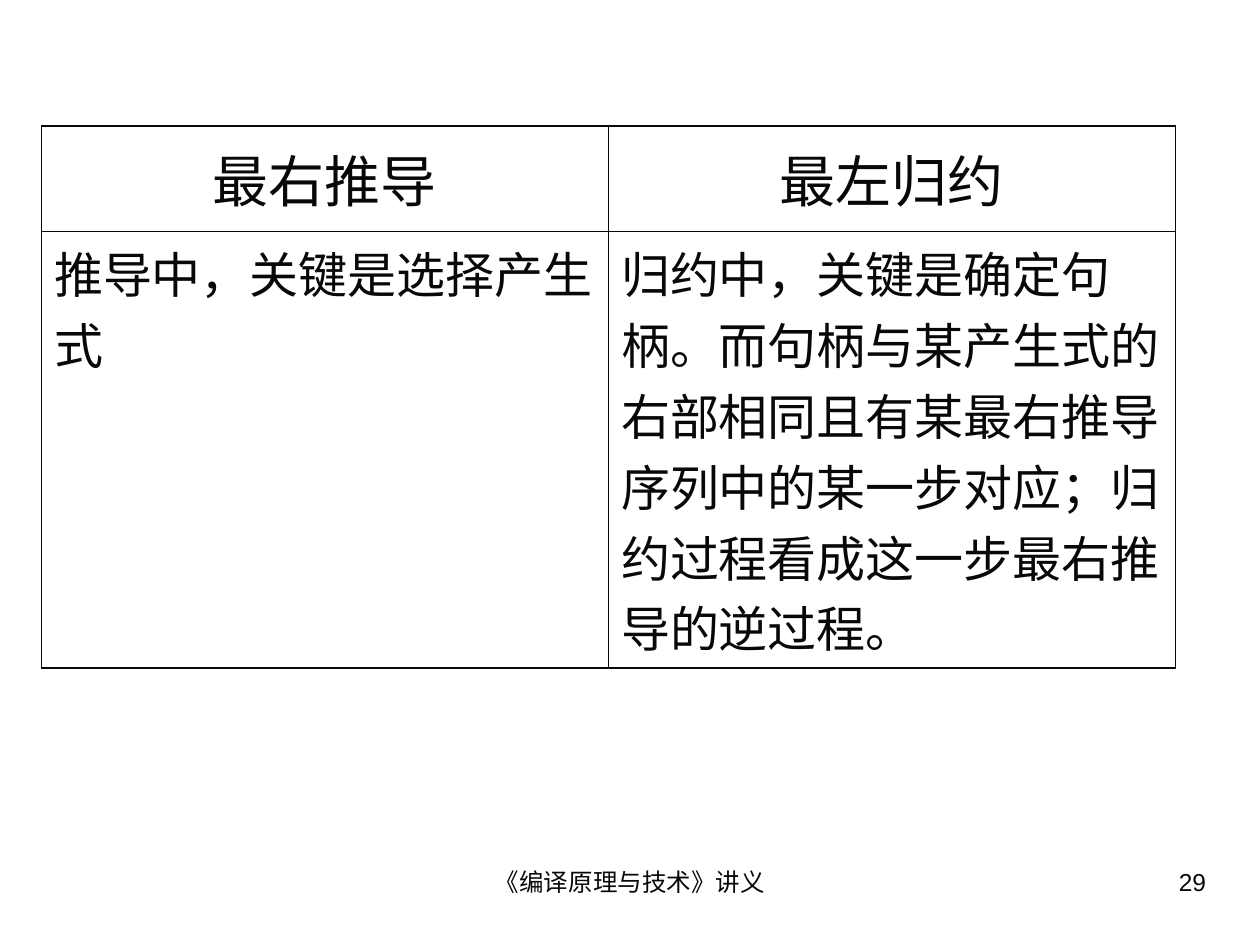
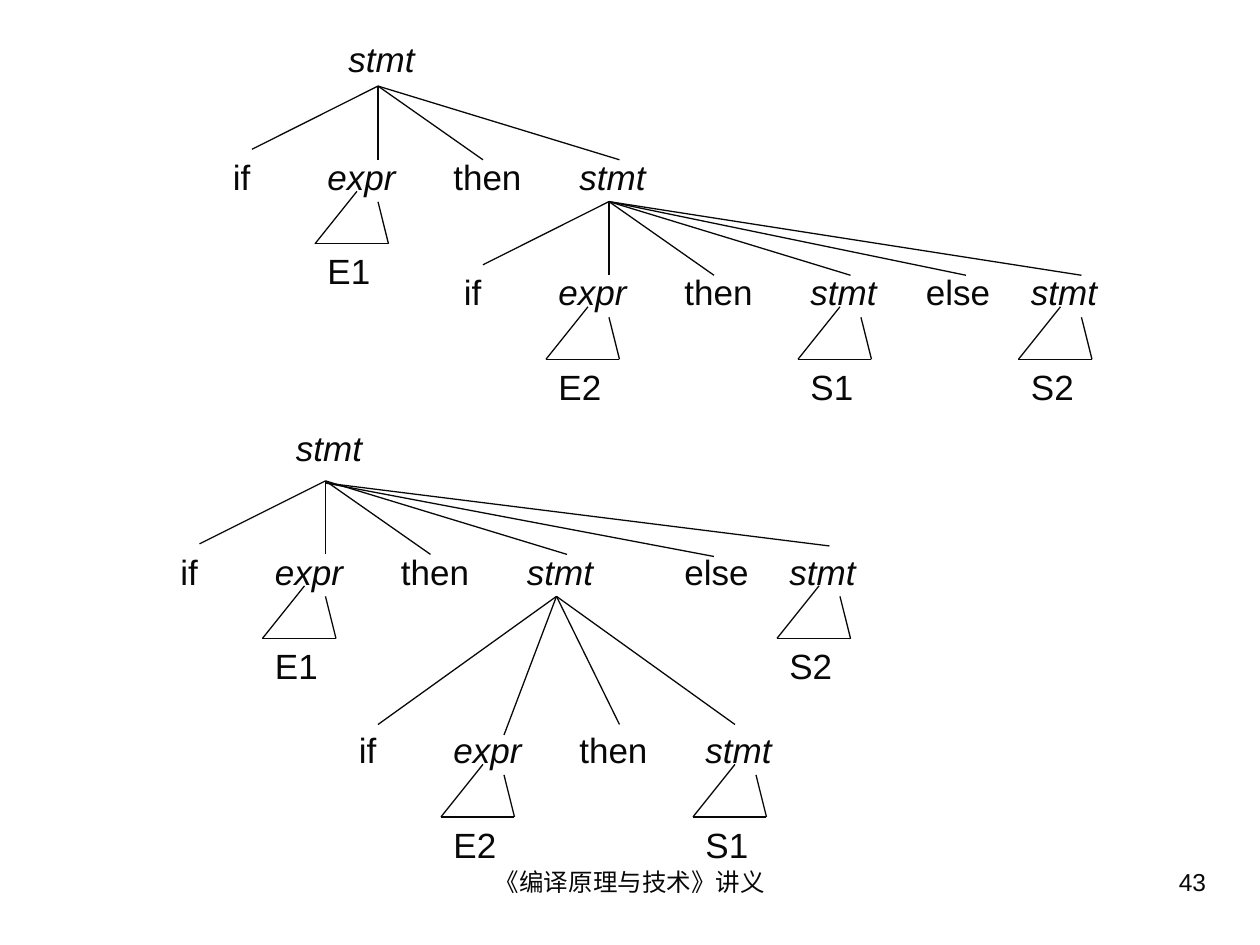
from dataclasses import dataclass

from lxml.etree import SubElement
from pptx import Presentation
from pptx.dml.color import RGBColor
from pptx.enum.shapes import MSO_CONNECTOR
from pptx.enum.text import MSO_ANCHOR, MSO_AUTO_SIZE, PP_ALIGN
from pptx.oxml.ns import qn
from pptx.util import Emu, Inches, Pt


@dataclass(frozen=True)
class Theme:
    ink: str = "080808"
    font: str = "Arial"
    footer_size: float = 14
    head_size: float = 32
    body_size: float = 28
    tree_size: float = 20
    branch: float = 0.74
    outer_border: float = 1.08
    inner_border: float = 0.45


theme = Theme()
ink = RGBColor.from_string(theme.ink)

deck = Presentation()
deck.slide_width, deck.slide_height = Inches(10), Inches(7.5)
blank = deck.slide_layouts[6]

# The grid has 120 columns and 90 rows of equal size
COLUMNS = 120
UNIT = deck.slide_width // COLUMNS


def grid(*places):
    return [Emu(round(place * UNIT)) for place in places]


def write(frame, text, size, align=PP_ALIGN.LEFT, before=0, italic=False):
    frame.word_wrap = True
    para = frame.paragraphs[0]
    para.text = text
    para.alignment = align
    para.space_before = Pt(before)
    para.font.name = theme.font
    para.font.size = Pt(size)
    para.font.italic = italic
    para.font.color.rgb = ink
    # Punctuation stays inside the margin
    para._p.get_or_add_pPr().set("hangingPunct", "0")


# Both pages carry the same footer and their own number
pages = []
for number in ("29", "43"):
    page = deck.slides.add_slide(blank)
    pages.append(page)
    footer = page.shapes.add_textbox(*grid(41, 82, 38, 6.2))
    write(footer.text_frame, "《编译原理与技术》讲义", theme.footer_size, PP_ALIGN.CENTER)
    counter = page.shapes.add_textbox(*grid(86, 82, 30.05, 6.2))
    write(counter.text_frame, number, theme.footer_size, PP_ALIGN.RIGHT)
comparison_page, tree_page = pages

# Slide 1: derivation compared with reduction
comparison = [
    ["最右推导", "最左归约"],
    ["推导中，关键是选择产生式",
     "归约中，关键是确定句柄。而句柄与某产生式的右部相同且有某最右推导"
     "序列中的某一步对应；归约过程看成这一步最右推导的逆过程。"],
]
table = comparison_page.shapes.add_table(2, 2, *grid(3.96, 12, 108, 51.6)).table
table.first_row = table.horz_banding = False
table.rows[0].height, table.rows[1].height = grid(10, 41.6)

for row, texts in enumerate(comparison):
    for column, text in enumerate(texts):
        cell = table.cell(row, column)
        cell.fill.background()
        if row == 0:
            cell.vertical_anchor = MSO_ANCHOR.MIDDLE
            write(cell.text_frame, text, theme.head_size, PP_ALIGN.CENTER, before=8)
        else:
            write(cell.text_frame, text, theme.body_size, before=7)
        # Borders come before the fill in the cell properties
        properties = cell._tc.get_or_add_tcPr()
        outer_sides = ("lnL" if column == 0 else "lnR", "lnT" if row == 0 else "lnB")
        for order, side in enumerate(("lnL", "lnR", "lnT", "lnB")):
            width = theme.outer_border if side in outer_sides else theme.inner_border
            border = SubElement(properties, qn(f"a:{side}"), w=str(Pt(width)))
            paint = SubElement(border, qn("a:solidFill"))
            SubElement(paint, qn("a:srgbClr"), val=theme.ink)
            properties.insert(order, border)

# Slide 2: two parse trees of the dangling else
# Each family: apex column and row, row of the children, then for each child
# its word, column, branch end (column, drop below the row) and subtree label
families = [
    (36, 8.2, 14.22, [
        ("if", 21, 24, 0, ""), ("expr", 30, 36, 1, "E1"),
        ("then", 42, 46, 1, ""), ("stmt", 54, 59, 1, "")]),
    (58, 19.2, 25.22, [
        ("if", 43, 46, 0, ""), ("expr", 52, 58, 1, "E2"),
        ("then", 64, 68, 1, ""), ("stmt", 76, 81, 1, "S1"),
        ("else", 87, 92, 1, ""), ("stmt", 97, 103, 1, "S2")]),
    (31, 45.8, 51.8, [
        ("if", 16, 19, 0, ""), ("expr", 25, 31, 1, "E1"),
        ("then", 37, 41, 1, ""), ("stmt", 49, 54, 1, "")]),
    # The else part of the same statement starts slightly lower
    (31, 46, 51.8, [
        ("else", 64, 68, 1.2, ""), ("stmt", 74, 79, 0.2, "S2")]),
    (53, 56.8, 68.8, [
        ("if", 33, 36, 0.2, ""), ("expr", 42, 48, 1.2, "E2"),
        ("then", 54, 59, 0.2, ""), ("stmt", 66, 70, 0.2, "S1")]),
]
WORD_WIDTH, LABEL_WIDTH, WORD_HEIGHT = 11, 8, 5.3
# Open triangle below a word, as steps from the word's corner
triangle = [(4, 4), (0, 9), (7, 9), (6, 5)]

words = [("stmt", 32, 3, WORD_WIDTH), ("stmt", 27, 40, WORD_WIDTH)]
branches = []
for apex_column, apex_row, row, children in families:
    for word, column, end_column, drop, label in children:
        words.append((word, column, row, WORD_WIDTH))
        branches.append((apex_column, apex_row, end_column, row + drop))
        if label:
            words.append((label, column, row + 9, LABEL_WIDTH))
            corners = [(column + right, row + down) for right, down in triangle]
            branches += [start + end for start, end in zip(corners, corners[1:])]

for word, column, row, width in words:
    box = tree_page.shapes.add_textbox(*grid(column, row, width, WORD_HEIGHT))
    write(box.text_frame, word, theme.tree_size, before=12.5,
          italic=word in ("stmt", "expr"))
    box.text_frame.auto_size = MSO_AUTO_SIZE.SHAPE_TO_FIT_TEXT

for ends in branches:
    branch = tree_page.shapes.add_connector(MSO_CONNECTOR.STRAIGHT, *grid(*ends))
    branch.line.color.rgb = ink
    branch.line.width = Pt(theme.branch)
    SubElement(branch._element.spPr, qn("a:effectLst"))

deck.save("out.pptx")
